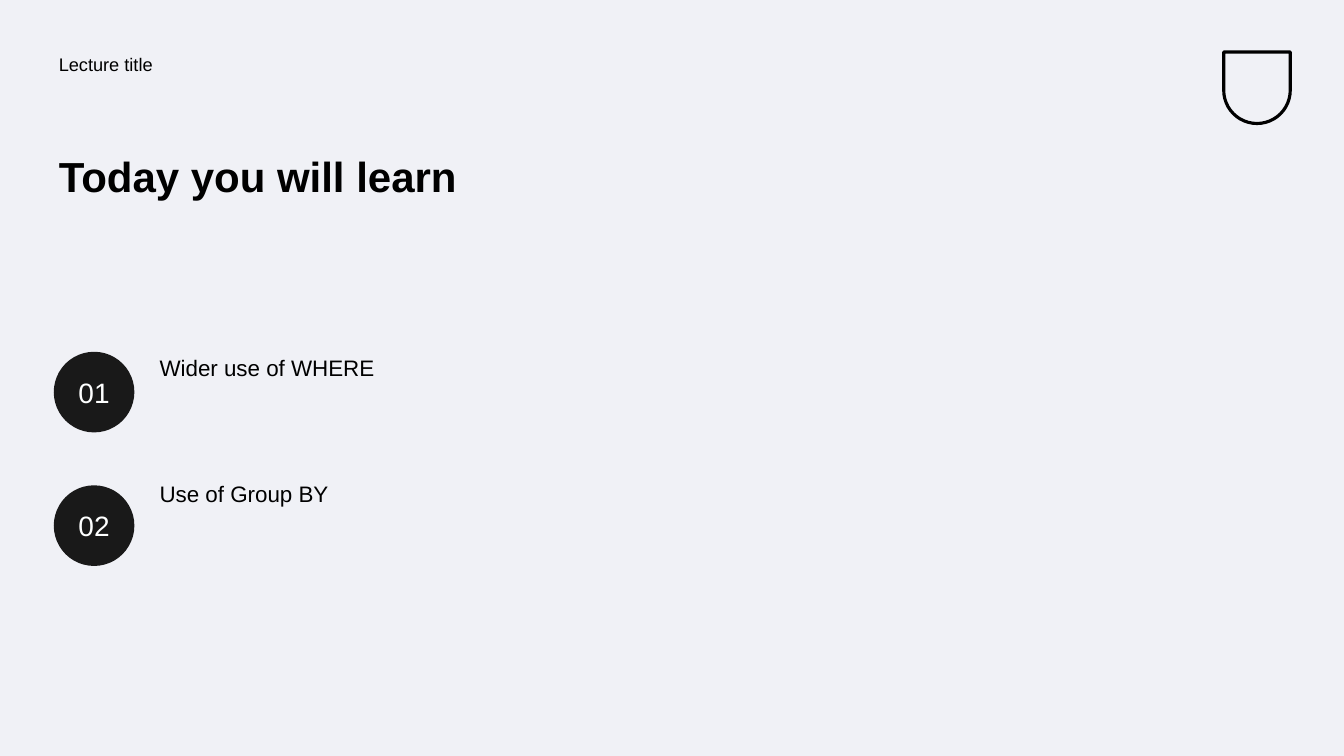
"""Build the lecture agenda slide."""
import dataclasses

import pptx
import pptx.dml.color
import pptx.enum.shapes
import pptx.enum.text
import pptx.util

SHAPES = pptx.enum.shapes.MSO_SHAPE
ALIGN = pptx.enum.text.PP_ALIGN
ANCHOR = pptx.enum.text.MSO_ANCHOR


@dataclasses.dataclass(frozen=True)
class Theme:
    """Colours and type sizes of the slide."""
    font: str = "Arial"
    ground: str = "F0F1F6"
    ink: str = "000000"
    disc: str = "191919"
    numeral: str = "FEFFFF"
    label_size: int = 13
    heading_size: int = 30
    topic_size: int = 16
    numeral_size: int = 20
    outline: float = 2.25


def rgb(code):
    """Turn a hex code into a colour."""
    return pptx.dml.color.RGBColor.from_string(code)


def assign(target, values):
    """Set each named attribute of the target."""
    for name, value in values.items():
        setattr(target, name, value)


class AgendaSlide:
    """Draws on one slide over a grid of 40 columns and 30 rows."""

    def __init__(self, deck, theme):
        """Add a title-only slide with a plain ground."""
        self.theme = theme
        self.column = deck.slide_width / 40
        self.row = deck.slide_height / 30
        self.slide = deck.slides.add_slide(deck.slide_layouts[5])
        self.slide.background.fill.solid()
        self.slide.background.fill.fore_color.rgb = rgb(theme.ground)

    def place(self, left, top, width, height):
        """Convert grid units to slide lengths."""
        return (round(left * self.column), round(top * self.row),
                round(width * self.column), round(height * self.row))

    def set_words(self, holder, words, size, colour, bold=False,
                  align=ALIGN.LEFT, anchor=ANCHOR.TOP, spacing=0.9):
        """Fill a shape with one formatted paragraph."""
        frame = holder.text_frame
        inset = pptx.util.Inches(0.05)
        assign(frame, {
            "text": words, "word_wrap": True, "vertical_anchor": anchor,
            "auto_size": pptx.enum.text.MSO_AUTO_SIZE.NONE,
            "margin_left": inset, "margin_right": inset,
            "margin_top": inset, "margin_bottom": inset,
        })
        line = frame.paragraphs[0]
        assign(line, {"alignment": align, "line_spacing": spacing})
        assign(line.font, {"name": self.theme.font, "bold": bold,
                           "size": pptx.util.Pt(size)})
        line.font.color.rgb = rgb(colour)

    def heading(self, words, *box):
        """Move and format the title placeholder."""
        title = self.slide.shapes.title
        assign(title, dict(zip(("left", "top", "width", "height"), self.place(*box))))
        self.set_words(title, words, self.theme.heading_size, self.theme.ink, bold=True)

    def text(self, words, size, *box):
        """Add a text box."""
        holder = self.slide.shapes.add_textbox(*self.place(*box))
        self.set_words(holder, words, size, self.theme.ink)

    def numbered_disc(self, number, *box):
        """Add a dark circle holding a two-digit number."""
        disc = self.slide.shapes.add_shape(SHAPES.OVAL, *self.place(*box))
        disc.shadow.inherit = False
        disc.fill.solid()
        disc.fill.fore_color.rgb = rgb(self.theme.disc)
        disc.line.fill.background()
        self.set_words(disc, f"{number:02d}", self.theme.numeral_size, self.theme.numeral,
                       align=ALIGN.CENTER, anchor=ANCHOR.MIDDLE, spacing=1.0)

    def crest(self, *box):
        """Add a plain outlined shield with a round base."""
        shield = self.slide.shapes.add_shape(SHAPES.ROUND_2_SAME_RECTANGLE, *self.place(*box))
        shield.shadow.inherit = False
        shield.rotation = 180
        shield.adjustments[0] = 0.5
        shield.fill.background()
        shield.line.color.rgb = rgb(self.theme.ink)
        shield.line.width = pptx.util.Pt(self.theme.outline)


def main():
    """Compose and save the slide."""
    deck = pptx.Presentation()
    deck.slide_width = pptx.util.Inches(13.33)
    deck.slide_height = pptx.util.Inches(7.5)
    theme = Theme()
    agenda = AgendaSlide(deck, theme)
    margin, first_row = 1.6, 13.96
    agenda.crest(36.42, 2.06, 1.98, 2.84)
    agenda.text("Lecture title", theme.label_size, margin, 2, 18.4, 2)
    agenda.heading("Today you will learn", margin, 6, 16.9, 5.96)
    for index, topic in enumerate(("Wider use of WHERE", "Use of Group BY")):
        agenda.text(topic, theme.topic_size, 4.6, first_row + 5 * index, 13.9, 3.96)
        agenda.numbered_disc(index + 1, margin, first_row + 5.3 * index, 2.4, 3.2)
    deck.save("out.pptx")


if __name__ == "__main__":
    main()
